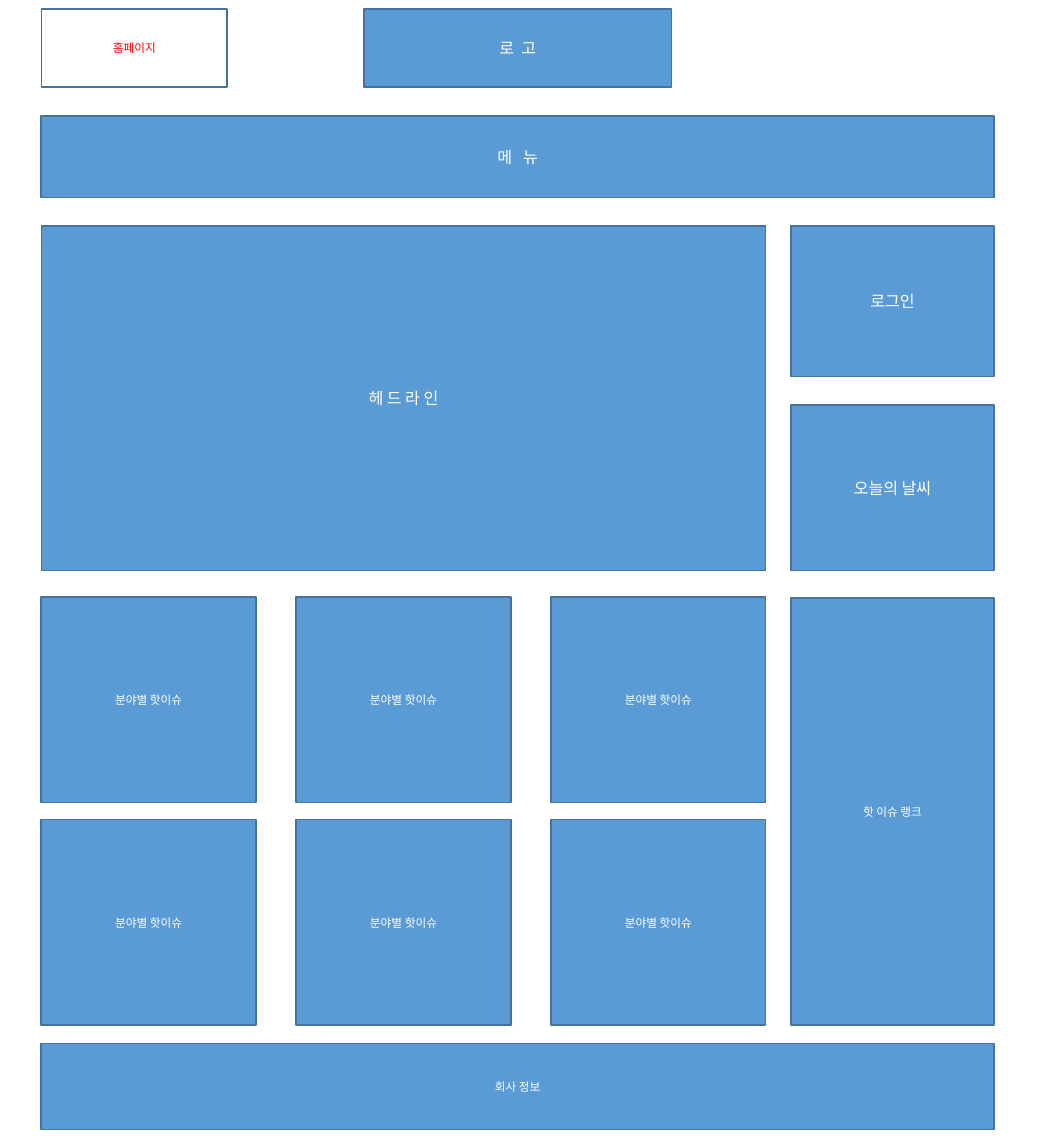
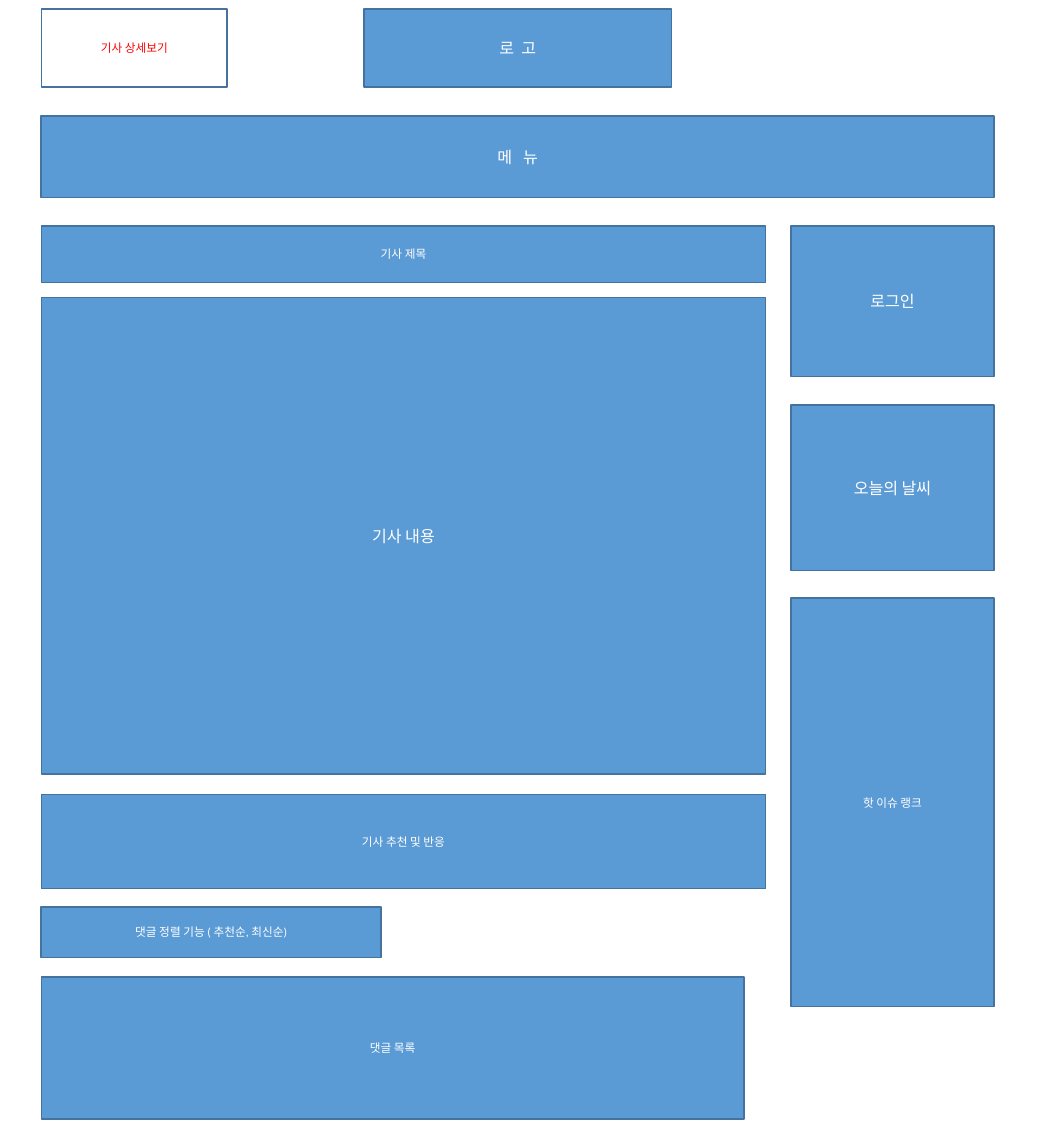
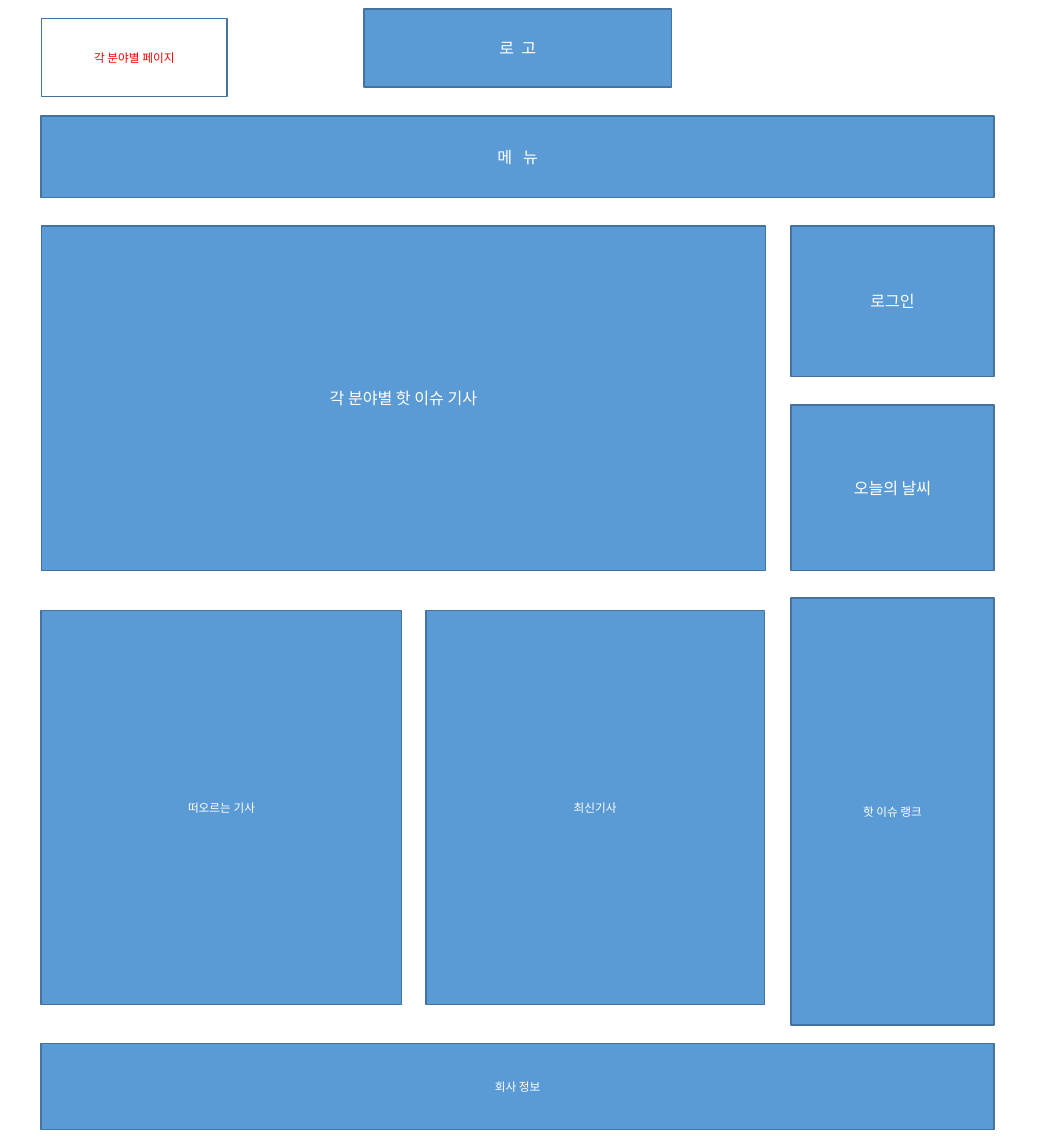
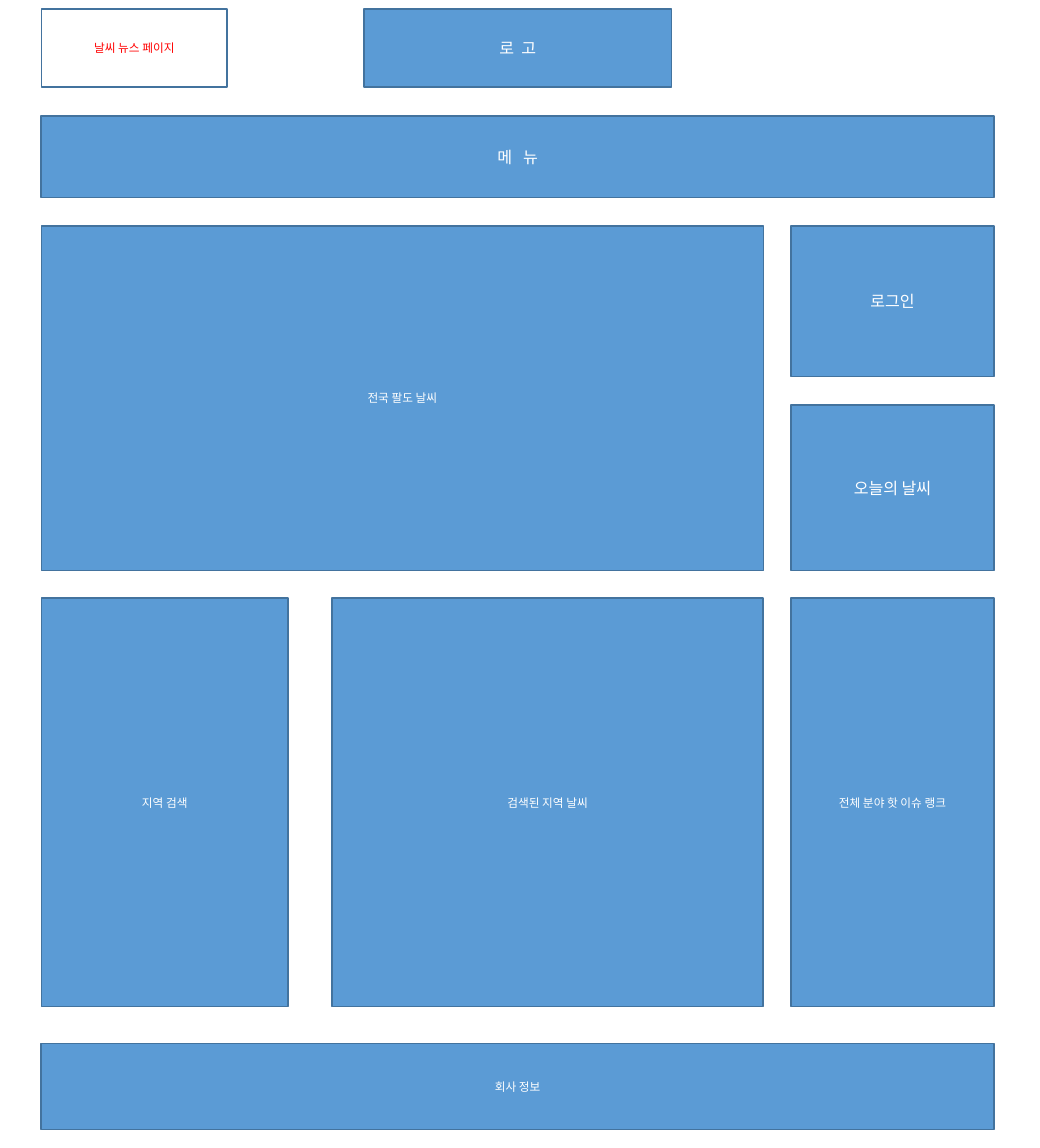
from itertools import product
from pptx import Presentation
from pptx.dml.color import RGBColor
from pptx.enum.shapes import MSO_SHAPE
from pptx.enum.text import MSO_ANCHOR, MSO_AUTO_SIZE, PP_ALIGN
from pptx.util import Inches, Pt

SIZE = (9.06, 10)
THEME = {
    "font": "Calibri", "big": 10.1, "small": 7.3, "edge": 1,
    "blue": "5B9BD5", "navy": "43739E", "white": "FFFFFF", "red": "FF0000",
}
PADS = {"big": (0.06, 0.03), "small": (0.1, 0.05)}

COLS = {
    "full": (0.36, 8.3), "main": (0.36, 6.31), "side": (6.89, 1.77),
    "logo": (3.17, 2.68), "label": (0.36, 1.62),
    "sort": (0.36, 2.96), "list": (0.36, 6.12),
    "rise": (0.36, 3.14), "new": (3.71, 2.95),
    "map": (0.36, 6.29), "find": (0.36, 2.15), "found": (2.89, 3.76),
}
ROWS = {
    "top": (0.08, 0.68), "drop": (0.16, 0.68), "menu": (1.01, 0.71),
    "login": (1.97, 1.31), "sky": (3.53, 1.44), "hero": (1.97, 3),
    "long": (5.21, 3.72), "short": (5.21, 3.56), "pair": (5.32, 3.43),
    "foot": (9.09, 0.75),
    "head": (1.97, 0.49), "story": (2.59, 4.15), "react": (6.92, 0.82),
    "sort": (7.9, 0.44), "list": (8.51, 1.24),
}
for num in range(3):
    COLS[f"tile{num}"] = (0.36 + 2.22 * num, 1.87)
for num in range(2):
    ROWS[f"tile{num}"] = (5.2 + 1.94 * num, 1.79)

SHARED = [
    ("로 고", "logo", "top", "big", 115),
    ("메 뉴", "full", "menu", "big", 230),
    ("로그인", "side", "login", "big"),
    ("오늘의 날씨", "side", "sky", "big"),
]
FOOT = ("회사 정보", "full", "foot", "small")
RANK = "핫 이슈 랭크"
TILES = [
    ("분야별 핫이슈", f"tile{col}", f"tile{row}", "small")
    for row, col in product(range(2), range(3))
]
PAGES = [
    ("홈페이지", "top", [
        ("헤 드 라 인", "main", "hero", "big"),
        (RANK, "side", "long", "small"),
        *TILES,
        FOOT,
    ]),
    ("기사 상세보기", "top", [
        ("기사 제목", "main", "head", "small"),
        ("기사 내용", "main", "story", "big"),
        (RANK, "side", "short", "small"),
        ("기사 추천 및 반응", "main", "react", "small"),
        ("댓글 정렬 기능 ( 추천순, 최신순)", "sort", "sort", "small"),
        ("댓글 목록", "list", "list", "small"),
    ]),
    ("각 분야별 페이지", "drop", [
        ("각 분야별 핫 이슈 기사", "main", "hero", "big"),
        (RANK, "side", "long", "small"),
        ("떠오르는 기사", "rise", "pair", "small"),
        ("최신기사", "new", "pair", "small"),
        FOOT,
    ]),
    ("날씨 뉴스 페이지", "top", [
        ("전국 팔도 날씨", "map", "hero", "small"),
        ("지역 검색", "find", "short", "small"),
        ("검색된 지역 날씨", "found", "short", "small"),
        ("전체 분야 핫 이슈 랭크", "side", "short", "small"),
        FOOT,
    ]),
]


def apply(item, vals):
    for name, val in vals.items():
        setattr(item, name, val)


def tint(name):
    return RGBColor.from_string(THEME[name])


def place(col, row):
    (left, width), (top, height) = COLS[col], ROWS[row]
    return [Inches(val) for val in (left, top, width, height)]


def style(box, text, size, fill="blue", ink="white", gap=0):
    box.fill.solid()
    box.fill.fore_color.rgb = tint(fill)
    box.line.color.rgb = tint("navy")
    box.line.width = Pt(THEME["edge"])
    frame = box.text_frame
    wide, high = (Inches(val) for val in PADS[size])
    apply(frame, {
        "word_wrap": True, "auto_size": MSO_AUTO_SIZE.NONE,
        "vertical_anchor": MSO_ANCHOR.MIDDLE,
        "margin_left": wide, "margin_right": wide,
        "margin_top": high, "margin_bottom": high,
    })
    para = frame.paragraphs[0]
    para.alignment = PP_ALIGN.CENTER
    run = para.add_run()
    run.text = text
    apply(run.font, {"name": THEME["font"], "size": Pt(THEME[size])})
    run.font.color.rgb = tint(ink)
    if gap:
        run.font._element.set("spc", str(gap))


def block(slide, text, col, row, size, gap=0):
    box = slide.shapes.add_shape(MSO_SHAPE.RECTANGLE, *place(col, row))
    box.shadow.inherit = False
    style(box, text, size, gap=gap)


def label(slide, text, row):
    box = slide.shapes.title
    spots = ("left", "top", "width", "height")
    apply(box, dict(zip(spots, place("label", row))))
    style(box, text, "small", "white", "red")


def main():
    deck = Presentation()
    deck.slide_width, deck.slide_height = map(Inches, SIZE)
    plain = deck.slide_layouts.get_by_name("Title Only")
    for name, row, parts in PAGES:
        slide = deck.slides.add_slide(plain)
        label(slide, name, row)
        for part in SHARED + parts:
            block(slide, *part)
    deck.save("out.pptx")


if __name__ == "__main__":
    main()
